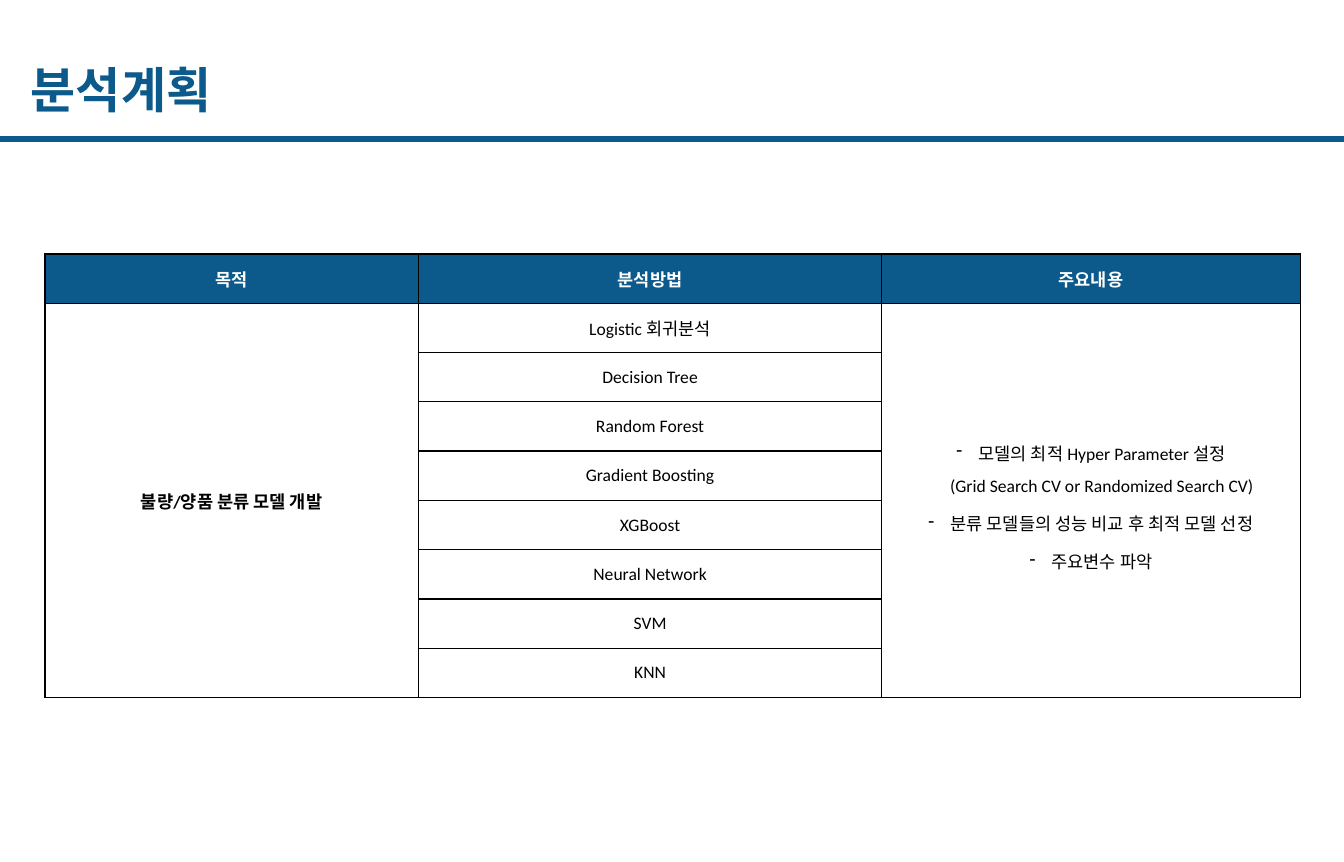
"""Builds the analysis plan slide: a title, a rule and a table of methods."""
from copy import deepcopy

from lxml import etree
from pptx import Presentation
from pptx.dml.color import RGBColor
from pptx.enum.shapes import MSO_CONNECTOR
from pptx.enum.text import MSO_ANCHOR, MSO_AUTO_SIZE, PP_ALIGN
from pptx.oxml.ns import qn
from pptx.util import Pt

PX = 9144
STRAIGHT = MSO_CONNECTOR.STRAIGHT
MIDDLE = MSO_ANCHOR.MIDDLE
GROW = MSO_AUTO_SIZE.SHAPE_TO_FIT_TEXT
LEFT, CENTER = PP_ALIGN.LEFT, PP_ALIGN.CENTER
COLORS = {"blue": "0B5A8B", "white": "FFFFFF", "black": "000000"}

SLIDE_WIDTH, SLIDE_HEIGHT = 1169, 750
HEADERS = ["목적", "분석방법", "주요내용"]
PURPOSE = "불량/양품 분류 모델 개발"
METHODS = ["Logistic 회귀분석", "Decision Tree", "Random Forest", "Gradient Boosting",
           "XGBoost", "Neural Network", "SVM", "KNN"]
DETAILS = ["모델의 최적 Hyper Parameter 설정\n(Grid Search CV or Randomized Search CV)",
           "분류 모델들의 성능 비교 후 최적 모델 선정", "주요변수 파악"]
COLUMN_WIDTHS = [325, 403, 364]
TABLE_HEIGHT = 386


def px(length):
    return round(length * PX)


def write(frame, *texts, size=11, font="Calibri", color="black", bold=False,
          align=CENTER, bullet=None):
    for index, text in enumerate(texts):
        paragraph = frame.add_paragraph() if index else frame.paragraphs[0]
        paragraph.text = text.replace("\n", "\v")
        paragraph.alignment = align
        for run in paragraph.runs:
            run.font.size = Pt(size)
            run.font.name = font
            run.font.bold = bold
            run.font.color.rgb = RGBColor.from_string(COLORS[color])
        for line_break in paragraph._p.findall(qn("a:br")):
            line_break.append(deepcopy(paragraph.runs[0].font._element))
        if bullet:
            paragraph.line_spacing = 1.5
            properties = paragraph._p.get_or_add_pPr()
            properties.set("marL", str(px(19)))
            properties.set("indent", str(px(-19)))
            etree.SubElement(properties, qn("a:buFontTx"))
            etree.SubElement(properties, qn("a:buChar"), char=bullet)


presentation = Presentation()
presentation.slide_width = px(SLIDE_WIDTH)
presentation.slide_height = px(SLIDE_HEIGHT)
slide = presentation.slides.add_slide(presentation.slide_layouts[6])

title = slide.shapes.add_textbox(px(17), px(47), px(588), px(62)).text_frame
title.word_wrap = True
title.auto_size = GROW
write(title, "분석계획", size=30.7, font="Arial", color="blue", bold=True, align=LEFT)

title_rule = slide.shapes.add_connector(STRAIGHT, 0, px(121), px(SLIDE_WIDTH), px(121))
title_rule.line.color.rgb = RGBColor.from_string(COLORS["blue"])
title_rule.line.width = Pt(4)
etree.SubElement(title_rule._element.spPr, qn("a:effectLst"))

row_count = len(METHODS) + 1
table = slide.shapes.add_table(row_count, len(HEADERS), px(39), px(221),
                               px(sum(COLUMN_WIDTHS)), px(TABLE_HEIGHT)).table
for column, width in zip(table.columns, COLUMN_WIDTHS):
    column.width = px(width)
for row in table.rows:
    row.height = px(TABLE_HEIGHT / row_count)

for cell in table.iter_cells():
    cell.vertical_anchor = MIDDLE
    cell.margin_left = cell.margin_right = px(9)
    cell.margin_top = cell.margin_bottom = px(4)
    properties = cell._tc.get_or_add_tcPr()
    for side in ("a:lnL", "a:lnR", "a:lnT", "a:lnB"):
        border = etree.SubElement(properties, qn(side), w=str(Pt(1)))
        border_fill = etree.SubElement(border, qn("a:solidFill"))
        etree.SubElement(border_fill, qn("a:srgbClr"), val=COLORS["black"])
    cell.fill.background()

for index, header in enumerate(HEADERS):
    header_cell = table.cell(0, index)
    header_cell.fill.solid()
    header_cell.fill.fore_color.rgb = RGBColor.from_string(COLORS["blue"])
    write(header_cell.text_frame, header, color="white", bold=True)

for index, method in enumerate(METHODS, start=1):
    write(table.cell(index, 1).text_frame, method)

for index in (0, 2):
    table.cell(1, index).merge(table.cell(row_count - 1, index))
write(table.cell(1, 0).text_frame, PURPOSE, bold=True)
write(table.cell(1, 2).text_frame, *DETAILS, bullet="-")

presentation.save("out.pptx")
